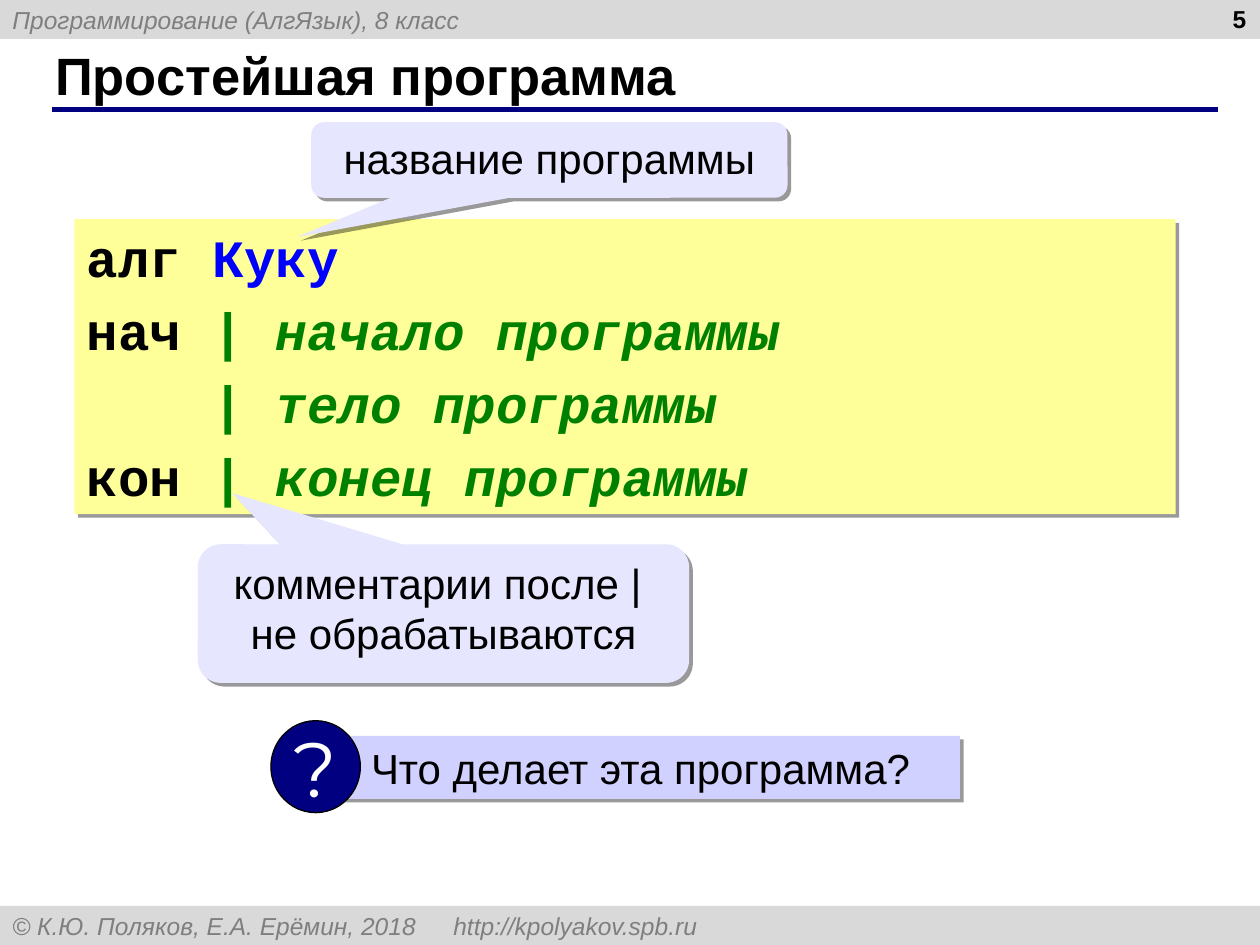
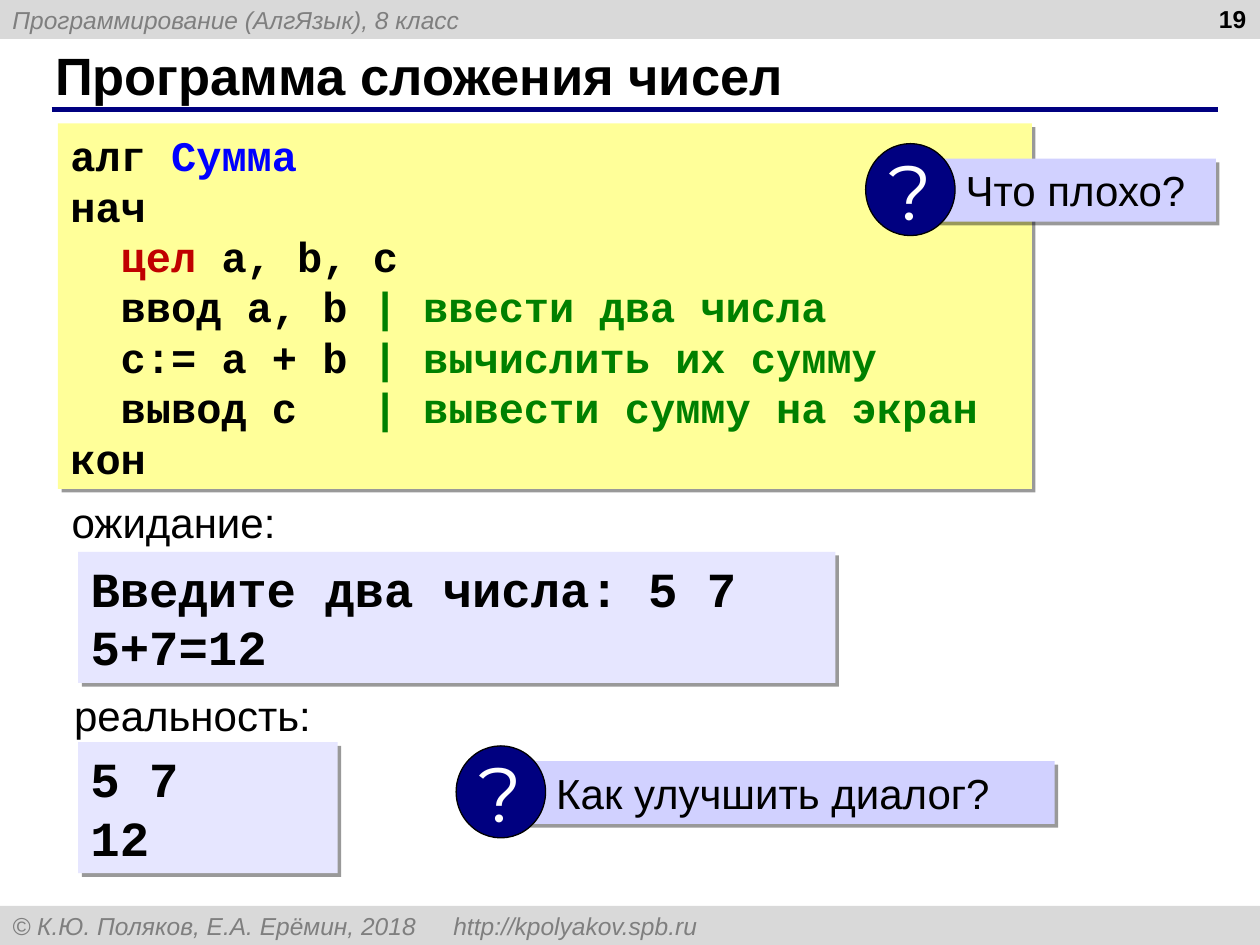
import dataclasses
import typing

import lxml.etree
import pptx
import pptx.dml.color
import pptx.enum.shapes
import pptx.enum.text
import pptx.oxml.ns
import pptx.shapes.autoshape
import pptx.slide
import pptx.util

KIND = pptx.enum.shapes.MSO_SHAPE
ALIGN = pptx.enum.text.PP_ALIGN
ANCHOR = pptx.enum.text.MSO_ANCHOR
COLS, ROWS = 100, 75
WIDTH, HEIGHT = pptx.util.Inches(10), pptx.util.Inches(7.5)


@dataclasses.dataclass(frozen=True)
class Face:
    size: float
    color: str = "000000"
    font: str = "Arial"
    bold: bool = False
    slant: bool = False


@dataclasses.dataclass(frozen=True)
class Theme:
    band: str = "D9D9D9"
    navy: str = "000080"
    black: str = "000000"
    yellow: str = "FFFF99"
    pale: str = "E6E6FF"
    lilac: str = "D1D1FF"
    blue: str = "0000FF"
    green: str = "008000"
    red: str = "C00000"
    title: Face = Face(30, bold=True)
    number: Face = Face(14, bold=True)
    small: Face = Face(14, "7F7F7F", slant=True)
    body: Face = Face(24)
    mark: Face = Face(44, "FFFFFF", "Montserrat")
    code: Face = Face(24, font="Courier New", bold=True)
    big: Face = Face(30, font="Courier New", bold=True)
    output: Face = Face(28, font="Courier New", bold=True)


THEME = Theme()


class Area(typing.NamedTuple):
    """Place and size in grid columns and rows."""
    col: float
    row: float
    cols: float
    rows: float

    def lengths(self) -> tuple[int, ...]:
        return (across(self.col), down(self.row),
                across(self.cols), down(self.rows))


class Span(typing.NamedTuple):
    text: str
    color: str = THEME.black
    slant: bool = False


class Panel(typing.NamedTuple):
    area: Area
    fill: str
    face: Face
    lines: list[list[Span]]
    gap: float = 0


class Bubble(typing.NamedTuple):
    area: Area
    text: str
    tip: tuple[float, float]


class Label(typing.NamedTuple):
    area: Area
    text: str


class Ask(typing.NamedTuple):
    """A question bar with a round badge at its left end."""
    col: float
    row: float
    cols: float
    text: str


Item = Panel | Bubble | Label | Ask


class Page(typing.NamedTuple):
    title: str
    number: int
    items: list[Item]


def across(cols: float) -> int:
    return round(WIDTH * cols / COLS)


def down(rows: float) -> int:
    return round(HEIGHT * rows / ROWS)


def tint(color: str) -> pptx.dml.color.RGBColor:
    return pptx.dml.color.RGBColor.from_string(color)


def child(node: typing.Any, tag: str, **values: str) -> typing.Any:
    return lxml.etree.SubElement(node, pptx.oxml.ns.qn(tag), values)


def style(run: typing.Any, face: Face) -> None:
    font = run.font
    font.name, font.size = face.font, pptx.util.Pt(face.size)
    font.bold, font.italic = face.bold, face.slant
    font.color.rgb = tint(face.color)


def write(shape: typing.Any, text: str, face: Face,
          align: ALIGN = ALIGN.LEFT, anchor: ANCHOR = ANCHOR.TOP) -> None:
    frame = shape.text_frame
    frame.word_wrap, frame.vertical_anchor = True, anchor
    frame.text = text
    for para in frame.paragraphs:
        para.alignment = align
        for run in para.runs:
            style(run, face)


def block(shapes: typing.Any, kind: KIND, area: Area, fill: str,
          shade: bool = False) -> pptx.shapes.autoshape.Shape:
    """Add a filled shape without outline, with a hard shadow if asked."""
    shape = shapes.add_shape(kind, *area.lengths())
    shape.fill.solid()
    shape.fill.fore_color.rgb = tint(fill)
    shape.line.fill.background()
    shape.shadow.inherit = False
    if shade:
        effects = shape.element.spPr.find(pptx.oxml.ns.qn("a:effectLst"))
        outer = child(effects, "a:outerShdw", dist=str(pptx.util.Pt(3)),
                      dir="2700000", algn="ctr", rotWithShape="0")
        child(child(outer, "a:srgbClr", val=THEME.black), "a:alpha", val="40000")
    return shape


def draw_panel(slide: pptx.slide.Slide, panel: Panel) -> None:
    shape = block(slide.shapes, KIND.RECTANGLE, panel.area, panel.fill, True)
    frame = shape.text_frame
    frame.word_wrap, frame.vertical_anchor = True, ANCHOR.TOP
    frame.auto_size = pptx.enum.text.MSO_AUTO_SIZE.SHAPE_TO_FIT_TEXT
    for index, line in enumerate(panel.lines):
        para = frame.add_paragraph() if index else frame.paragraphs[0]
        para.alignment = ALIGN.LEFT
        if index and panel.gap:
            para.space_before = pptx.util.Pt(panel.gap)
        for span in line:
            run = para.add_run()
            run.text = span.text
            style(run, dataclasses.replace(
                panel.face, color=span.color, slant=span.slant))


def draw_bubble(slide: pptx.slide.Slide, bubble: Bubble) -> None:
    shape = block(slide.shapes, KIND.ROUNDED_RECTANGULAR_CALLOUT,
                  bubble.area, THEME.pale, True)
    shape.adjustments[0], shape.adjustments[1] = bubble.tip
    write(shape, bubble.text, THEME.body, ALIGN.CENTER)


def draw_label(slide: pptx.slide.Slide, label: Label) -> None:
    box = slide.shapes.add_textbox(*label.area.lengths())
    write(box, label.text, THEME.body)
    box.text_frame.paragraphs[0].line_spacing = 0.8


def draw_ask(slide: pptx.slide.Slide, ask: Ask) -> None:
    shapes = slide.shapes.add_group_shape().shapes
    bar = block(shapes, KIND.RECTANGLE,
                Area(ask.col + 5.1, ask.row + 1.2, ask.cols, 5), THEME.lilac, True)
    write(bar, ask.text, THEME.body)
    bar.text_frame.margin_left = across(2.85)
    badge = block(shapes, KIND.OVAL, Area(ask.col, ask.row, 7.1, 7.3), THEME.navy)
    badge.line.color.rgb = tint(THEME.black)
    badge.line.width = pptx.util.Pt(0.75)
    write(badge, "?", THEME.mark, ALIGN.CENTER, ANCHOR.MIDDLE)
    badge.text_frame.word_wrap = False


def draw_frame(slide: pptx.slide.Slide, page: Page) -> None:
    """Draw the bands, title, rule and number that all pages share."""
    bands = [(0, "Программирование (АлгЯзык), 8 класс"),
             (ROWS - 3.1, "© К.Ю. Поляков, Е.А. Ерёмин, 2018\thttp://kpolyakov.spb.ru")]
    for row, text in bands:
        band = block(slide.shapes, KIND.RECTANGLE, Area(0, row, COLS, 3.1), THEME.band)
        props = band.text_frame.paragraphs[0]._p.get_or_add_pPr()
        child(child(props, "a:tabLst"), "a:tab", pos=str(across(96.1)), algn="r")
        write(band, text, THEME.small, anchor=ANCHOR.MIDDLE)

    rule = slide.shapes.add_connector(
        pptx.enum.shapes.MSO_CONNECTOR.STRAIGHT,
        across(4.1), down(8.7), across(96.7), down(8.7))
    rule.line.color.rgb = tint(THEME.navy)
    rule.line.width = pptx.util.Pt(3)
    child(rule.element.spPr, "a:effectLst")

    title = slide.shapes.add_textbox(*Area(3.4, 3.3, 91.6, 5.2).lengths())
    write(title, page.title, THEME.title, anchor=ANCHOR.MIDDLE)
    number = slide.shapes.add_textbox(*Area(76.6, 0, 23.3, 3.1).lengths())
    write(number, str(page.number), THEME.number, ALIGN.RIGHT)
    number.text_frame.margin_top = down(0.3)


def note(text: str, slant: bool = False) -> Span:
    return Span(f"| {text}", THEME.green, slant)


PAGES = [
    Page("Простейшая программа", 5, [
        Panel(Area(5.9, 17.4, 87.4, 23.4), THEME.yellow, THEME.big, [
            [Span("алг "), Span("Куку", THEME.blue)],
            [Span("нач "), note("начало программы", True)],
            [Span("    "), note("тело программы", True)],
            [Span("кон "), note("конец программы", True)],
        ], gap=5.6),
        Bubble(Area(15.7, 43.2, 39, 11),
               "комментарии после | \vне обрабатываются", (-0.43, -0.87)),
        Ask(21.5, 57.2, 49.6, "Что делает эта программа?"),
        Bubble(Area(24.7, 9.7, 37.8, 6), "название программы", (-0.53, 1.02)),
    ]),
    Page("Программа сложения чисел", 19, [
        Panel(Area(4.6, 9.8, 77.3, 29), THEME.yellow, THEME.code, [
            [Span("алг "), Span("Сумма", THEME.blue)],
            [Span("нач")],
            [Span("  "), Span("цел", THEME.red), Span(" a, b, c")],
            [Span("  ввод a, b "), note("ввести два числа")],
            [Span("  c:= a + b "), note("вычислить их сумму")],
            [Span("  вывод c   "), note("вывести сумму на экран")],
            [Span("кон")],
        ]),
        Ask(68.7, 11.4, 22.7, "Что плохо?"),
        Label(Area(4.7, 39.7, 25, 4.2), "ожидание:"),
        Label(Area(4.9, 55, 25, 4.2), "реальность:"),
        Panel(Area(6.2, 43.8, 60.1, 10.4), THEME.pale, THEME.output,
              [[Span("Введите два числа: 5 7")], [Span("5+7=12")]]),
        Panel(Area(6.2, 58.9, 20.6, 10.4), THEME.pale, THEME.output,
              [[Span("5 7")], [Span("12")]]),
        Ask(36.2, 59.2, 42.4, "Как улучшить диалог?"),
    ]),
]

DRAW = {Panel: draw_panel, Bubble: draw_bubble, Label: draw_label, Ask: draw_ask}


def main() -> None:
    deck = pptx.Presentation()
    deck.slide_width, deck.slide_height = WIDTH, HEIGHT
    blank = deck.slide_layouts[6]
    for page in PAGES:
        slide = deck.slides.add_slide(blank)
        draw_frame(slide, page)
        for item in page.items:
            DRAW[type(item)](slide, item)
    deck.save("out.pptx")


if __name__ == "__main__":
    main()
